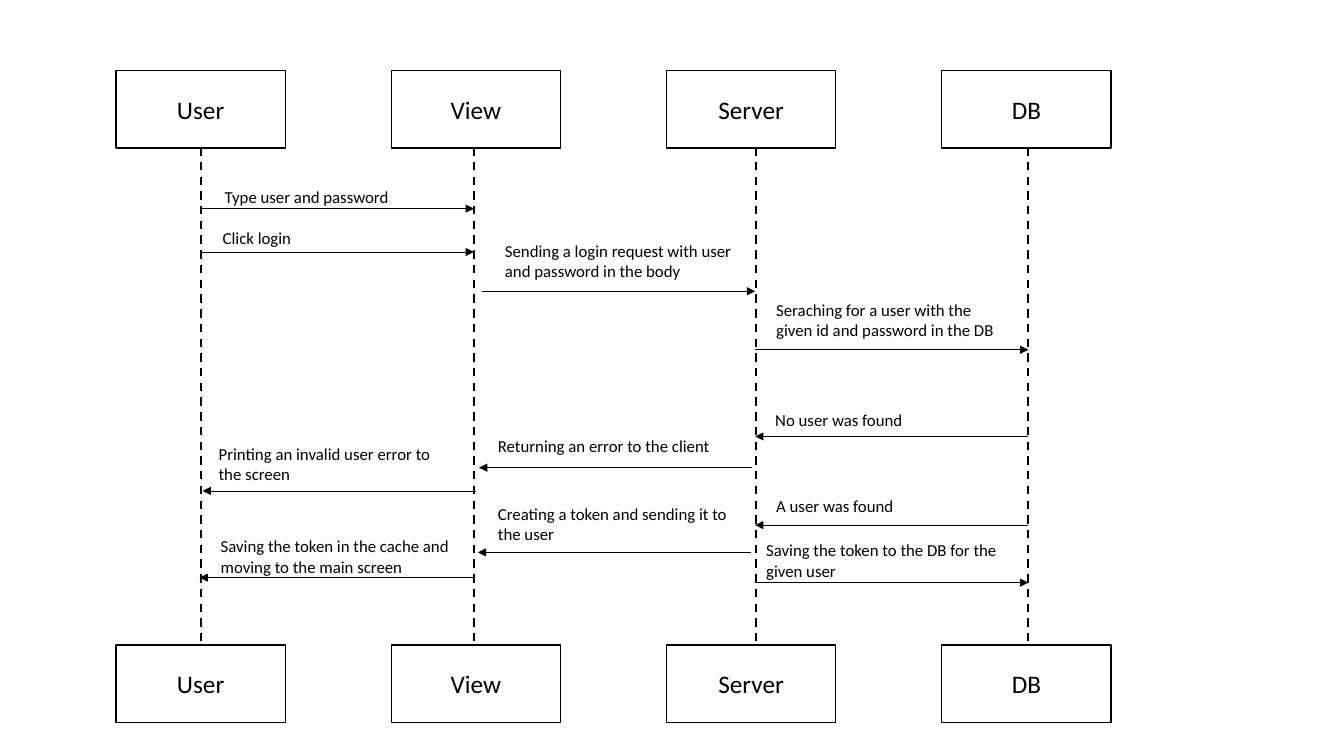
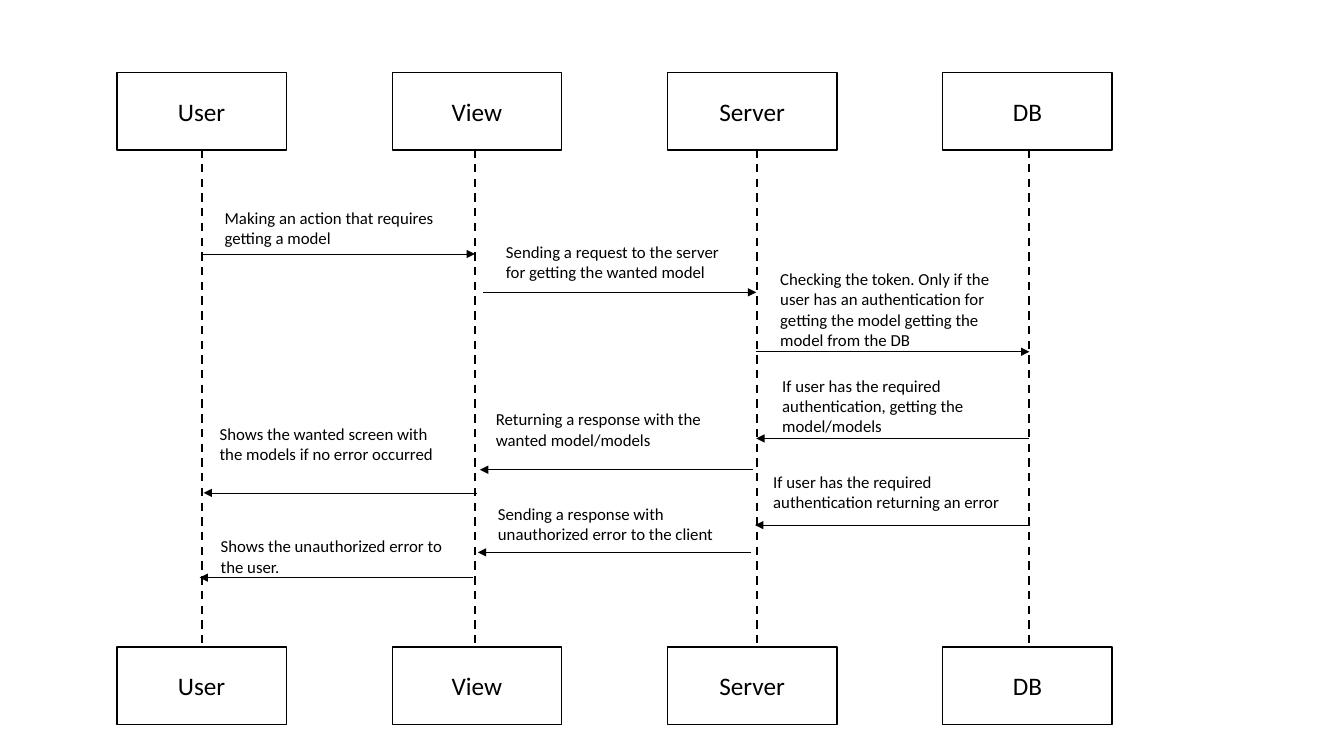
from pptx import Presentation
from pptx.dml.color import RGBColor
from pptx.enum import dml, shapes, text
from pptx.oxml.ns import qn
from pptx.util import Inches, Pt
from lxml import etree

INK, PAPER = "000000", "FFFFFF"
FONT = "Calibri"

# Participants: equal boxes, each with its own lifeline
ACTORS = [("User", 1.99), ("View", 4.7), ("Server", 7.5), ("DB", 10.2)]
BOX_LEFT, BOX_STEP = 1.15, 2.73
BOX_W, BOX_H = 1.68, 0.77
HEAD_TOP, FOOT_TOP = 0.7, 6.4
LIFELINE_TOP, LIFELINE_BOTTOM = 1.46, 6.79

# Messages: every arrow spans the same distance
ARROW_SPAN = 2.71
NOTE_W, NOTE_PADDING, NOTE_LINE = 2.49, 0.1, 0.2
RIGHT, LEFT = 1, -1

# Each message: arrow start x, y, direction, note left, note top, note lines, wording
LOGIN = [
    (1.99, 2.07, RIGHT, 2.13, 1.8, 1, "Type user and password"),
    (1.99, 2.5, RIGHT, 2.11, 2.21, 1, "Click login"),
    (4.78, 2.89, RIGHT, 4.91, 2.34, 2,
     "Sending a login request with user and password in the body"),
    (7.49, 3.47, RIGHT, 7.6, 2.92, 2,
     "Seraching for a user with the given id and password in the DB"),
    (10.2, 4.33, LEFT, 7.59, 4.02, 1, "No user was found"),
    (7.46, 4.64, LEFT, 4.84, 4.27, 1, "Returning an error to the client"),
    (4.72, 4.87, LEFT, 2.07, 4.35, 2,
     "Printing an invalid user error to the screen"),
    (10.2, 5.21, LEFT, 7.6, 4.87, 1, "A user was found"),
    (7.45, 5.48, LEFT, 4.84, 4.95, 2,
     "Creating a token and sending it to the user"),
    (4.69, 5.73, LEFT, 2.09, 5.27, 2,
     "Saving the token in the cache and moving to the main screen"),
    (7.49, 5.78, RIGHT, 7.5, 5.31, 2,
     "Saving the token to the DB for the given user"),
]
MODEL_REQUEST = [
    (2.0, 2.52, RIGHT, 2.13, 2.01, 2,
     "Making an action that requires getting a model"),
    (4.79, 2.9, RIGHT, 4.92, 2.35, 2,
     "Sending a request to the server for getting the wanted model"),
    (7.5, 3.49, RIGHT, 7.64, 2.62, 4,
     "Checking the token. Only if the user has an authentication for "
     "getting the model getting the model from the DB"),
    (10.21, 4.35, LEFT, 7.66, 3.68, 3,
     "If user has the required authentication, getting the model/models"),
    (7.47, 4.66, LEFT, 4.82, 4.01, 2,
     "Returning a response with the wanted model/models"),
    (4.73, 4.89, LEFT, 2.08, 4.15, 2,
     "Shows the wanted screen with the models if no error occurred"),
    (10.2, 5.21, LEFT, 7.57, 4.63, 2,
     "If user has the required authentication returning an error"),
    (7.45, 5.48, LEFT, 4.84, 4.95, 2,
     "Sending a response with unauthorized error to the client"),
    (4.69, 5.73, LEFT, 2.09, 5.27, 2,
     "Shows the unauthorized error to the user."),
]


def colour(value):
    return RGBColor.from_string(value)


def write(frame, wording, size=12, align=text.PP_ALIGN.LEFT,
          anchor=text.MSO_ANCHOR.TOP, ink=INK):
    frame.word_wrap = True
    frame.vertical_anchor = anchor
    paragraph = frame.paragraphs[0]
    paragraph.alignment = align
    run = paragraph.add_run()
    run.text = wording
    run.font.name = FONT
    run.font.size = Pt(size)
    run.font.color.rgb = colour(ink)


def add_actor(slide, name, left, top):
    actor = slide.shapes.add_shape(
        shapes.MSO_SHAPE.RECTANGLE,
        Inches(left), Inches(top), Inches(BOX_W), Inches(BOX_H))
    actor.shadow.inherit = False
    actor.fill.solid()
    actor.fill.fore_color.rgb = colour(PAPER)
    actor.line.color.rgb = colour(INK)
    actor.line.width = Pt(1)
    write(actor.text_frame, name, size=18, align=text.PP_ALIGN.CENTER,
          anchor=text.MSO_ANCHOR.MIDDLE)


def add_line(slide, start, end, width, dashed=False, arrow=False):
    line = slide.shapes.add_connector(
        shapes.MSO_CONNECTOR.STRAIGHT, *map(Inches, start + end))
    line.line.color.rgb = colour(INK)
    line.line.width = Pt(width)
    if dashed:
        line.line.dash_style = dml.MSO_LINE.DASH
    properties = line._element.spPr
    if arrow:
        outline = properties.find(qn("a:ln"))
        etree.SubElement(outline, qn("a:tailEnd"), type="triangle")
    etree.SubElement(properties, qn("a:effectLst"))


def add_note(slide, wording, left, top, lines):
    note = slide.shapes.add_textbox(
        Inches(left), Inches(top), Inches(NOTE_W),
        Inches(NOTE_PADDING + NOTE_LINE * lines))
    write(note.text_frame, wording)
    note.text_frame.auto_size = text.MSO_AUTO_SIZE.SHAPE_TO_FIT_TEXT


def add_actor_row(slide, top, dx):
    for column, (name, _) in enumerate(ACTORS):
        add_actor(slide, name, BOX_LEFT + column * BOX_STEP + dx, top)


def add_sequence(deck, messages, dx=0.0, dy=0.0):
    """Draw one diagram; dx and dy shift its frame of participants."""
    slide = deck.slides.add_slide(deck.slide_layouts.get_by_name("Blank"))

    # Participants and lifelines
    add_actor_row(slide, HEAD_TOP + dy, dx)
    for _, x in ACTORS:
        add_line(slide, (x + dx, LIFELINE_TOP + dy),
                 (x + dx, LIFELINE_BOTTOM + dy), 1.5, dashed=True)
    add_actor_row(slide, FOOT_TOP + dy, dx)

    # Messages between them
    for x, y, direction, left, top, lines, wording in messages:
        add_line(slide, (x, y), (x + direction * ARROW_SPAN, y), 0.5,
                 arrow=True)
        add_note(slide, wording, left, top, lines)


def main():
    deck = Presentation()
    deck.slide_width, deck.slide_height = Inches(13.33), Inches(7.5)
    add_sequence(deck, LOGIN)
    add_sequence(deck, MODEL_REQUEST, dx=0.01, dy=0.02)
    deck.save("out.pptx")


main()
